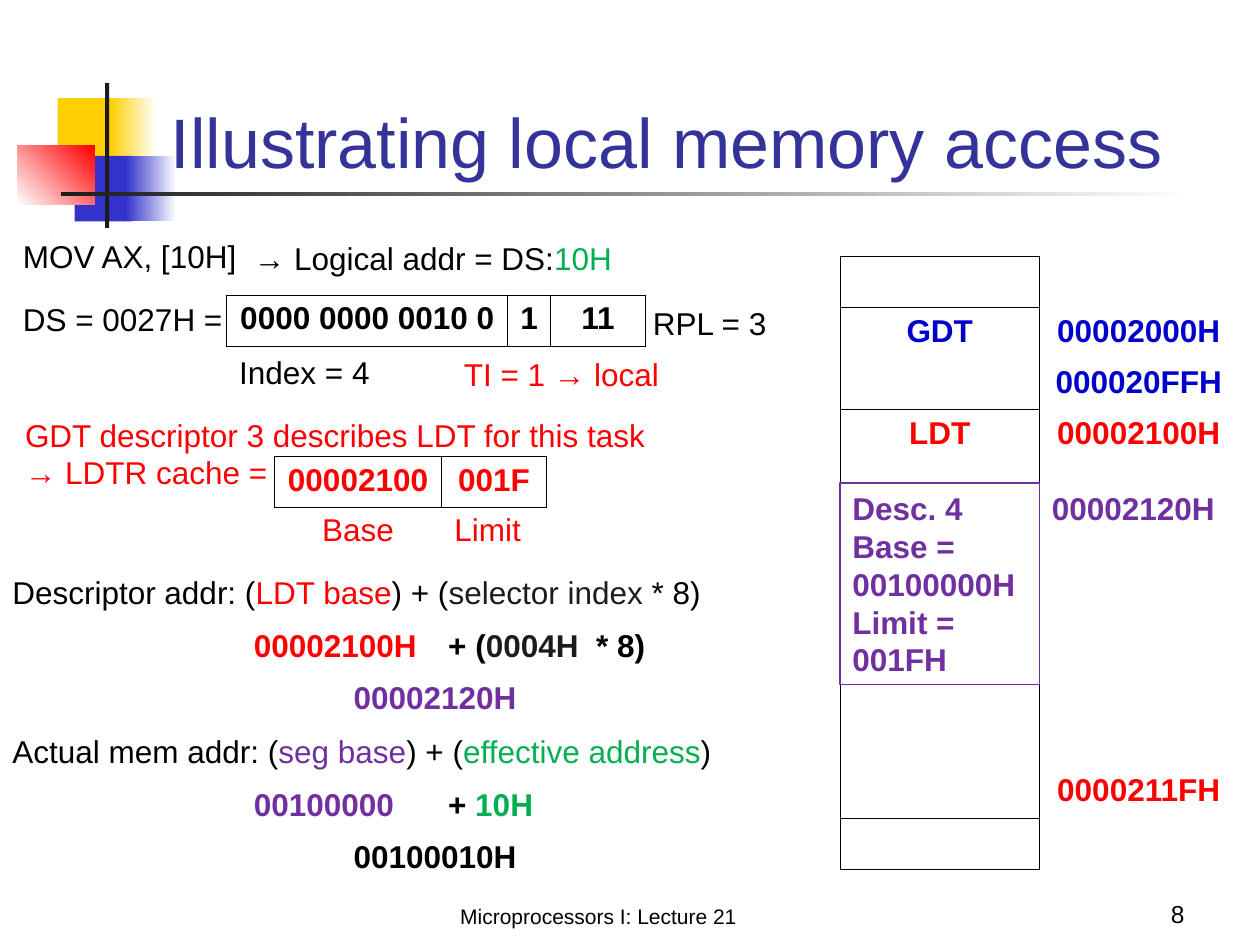
from dataclasses import dataclass
from typing import NamedTuple

import pptx
import pptx.dml.color
import pptx.enum.shapes
import pptx.enum.text
import pptx.oxml
import pptx.oxml.ns
import pptx.util

RGB = pptx.dml.color.RGBColor
ALIGN = pptx.enum.text.PP_ALIGN
ANCHOR = pptx.enum.text.MSO_ANCHOR
BLACK = RGB(0x00, 0x00, 0x00)
WHITE = RGB(0xFF, 0xFF, 0xFF)
CHARCOAL = RGB(0x1C, 0x1C, 0x1C)
YELLOW = RGB(0xFF, 0xCF, 0x01)
INDIGO = RGB(0x33, 0x33, 0xCC)
NAVY = RGB(0x33, 0x33, 0x99)
BLUE = RGB(0x00, 0x00, 0xCC)
RED = RGB(0xFF, 0x00, 0x00)
GREEN = RGB(0x00, 0xB0, 0x50)
PURPLE = RGB(0x70, 0x30, 0xA0)

FONT = "Arial"
UNIT = pptx.util.Inches(1) / 12
COLS, ROWS = 120, 90
LINE = 4.8
MEMORY_LEFT, MEMORY_WIDTH, MEMORY_ROWS = 80, 19, 12
MEMORY_ROW = 4.86


class Span(NamedTuple):
    text: str
    color: RGB = BLACK


class Block(NamedTuple):
    col: float
    row: float
    width: float
    height: float
    start: RGB
    end: RGB | None = None
    angle: float = 0


@dataclass
class Label:
    col: float
    row: float
    width: float
    lines: list[list[Span]]
    bold: bool = False
    size: float = 18
    height: float = LINE
    align: ALIGN = ALIGN.LEFT
    anchor: ANCHOR = ANCHOR.TOP


class Cell(NamedTuple):
    text: str = ""
    color: RGB = BLACK
    sides: str = "LRTB"


@dataclass
class Grid:
    col: float
    row: float
    widths: list[float]
    row_height: float
    cells: list[list[Cell]]


def units(*values: float) -> list[pptx.util.Emu]:
    return [pptx.util.Emu(round(v * UNIT)) for v in values]


def style_run(r, color: RGB, size: float, bold: bool) -> None:
    r.font.name = FONT
    r.font.size = pptx.util.Pt(size)
    r.font.bold = bold
    r.font.color.rgb = color


def draw_block(s, block: Block) -> None:
    sp = s.shapes.add_shape(pptx.enum.shapes.MSO_SHAPE.RECTANGLE, *units(*block[:4]))
    sp.shadow.inherit = False
    sp.line.fill.background()
    if block.end is None:
        sp.fill.solid()
        sp.fill.fore_color.rgb = block.start
        return
    sp.fill.gradient()
    sp.fill.gradient_angle = block.angle
    for stop, color in zip(sp.fill.gradient_stops, (block.start, block.end)):
        stop.color.rgb = color


def draw_label(s, label: Label):
    sp = s.shapes.add_textbox(*units(label.col, label.row, label.width, label.height))
    tf = sp.text_frame
    tf.word_wrap = True
    tf.vertical_anchor = label.anchor
    for i, line in enumerate(label.lines):
        p = tf.paragraphs[0] if i == 0 else tf.add_paragraph()
        p.alignment = label.align
        for span in line:
            r = p.add_run()
            r.text = span.text
            style_run(r, span.color, label.size, label.bold)
    return sp


def set_borders(cell, sides: str) -> None:
    tc_pr = cell._tc.get_or_add_tcPr()
    for side in "LRTB":
        paint = f'<a:solidFill><a:srgbClr val="{BLACK}"/></a:solidFill>' if side in sides else "<a:noFill/>"
        tc_pr.append(pptx.oxml.parse_xml(
            f'<a:ln{side} {pptx.oxml.ns.nsdecls("a")} w="{pptx.util.Pt(0.45)}">{paint}</a:ln{side}>'))


def draw_grid(s, grid: Grid) -> None:
    n = len(grid.cells)
    table = s.shapes.add_table(n, len(grid.widths), *units(
        grid.col, grid.row, sum(grid.widths), n * grid.row_height)).table
    table.first_row = table.horz_banding = False
    for column, width in zip(table.columns, units(*grid.widths)):
        column.width = width
    for row, cells in zip(table.rows, grid.cells):
        row.height = units(grid.row_height)[0]
        for cell, data in zip(row.cells, cells):
            set_borders(cell, data.sides)
            cell.fill.background()
            cell.text_frame.text = data.text
            p = cell.text_frame.paragraphs[0]
            p.alignment = ALIGN.CENTER
            p.font.size = pptx.util.Pt(18)
            for r in p.runs:
                style_run(r, data.color, 18, True)


def memory_cells() -> list[list[Cell]]:
    regions = {1: ("GDT", BLUE), 3: ("LDT", RED)}
    addresses = {1: ("00002000H", BLUE), 2: ("000020FFH", BLUE),
                 3: ("00002100H", RED), 10: ("0000211FH", RED)}
    tops, bottoms = (0, 1, 3, 11), (0, 2, 10, 11)
    return [[Cell(*regions.get(i, ("", BLACK)),
                  "LR" + "T" * (i in tops) + "B" * (i in bottoms)),
             Cell(*addresses.get(i, ("", BLACK)), "L")]
            for i in range(MEMORY_ROWS)]


BLOCKS = [
    Block(5.5, 9.35, 5.75, 6.25, YELLOW),
    Block(10.5, 9.35, 4.35, 6.25, YELLOW, WHITE),
    Block(7.1, 14.85, 5.5, 6.25, INDIGO),
    Block(12, 14.85, 4.8, 6.25, INDIGO, WHITE),
    Block(1.65, 13.9, 7.35, 5.6, WHITE, RED, 45),
    Block(10, 7.9, 0.4, 13.8, CHARCOAL),
    Block(5.8, 18.3, 108, 0.4, CHARCOAL, WHITE),
]

GRIDS = [
    Grid(21.6, 28.1, [26.75, 4.1, 9], 4.86,
         [[Cell("0000 0000 0010 0"), Cell("1"), Cell("11")]]),
    Grid(26.15, 43.5, [15.9, 10], 4.86, [[Cell("00002100", RED), Cell("001F", RED)]]),
    Grid(MEMORY_LEFT, 24.4, [MEMORY_WIDTH, 18.9], MEMORY_ROW, memory_cells()),
]

LABELS = [
    Label(15.1, 3, 102.25, [[Span("Illustrating local memory access", NAVY)]],
          size=40, height=15, anchor=ANCHOR.BOTTOM),
    Label(25, 83, 64, [[Span("Microprocessors I: Lecture 21")]],
          size=12, height=6, align=ALIGN.CENTER, anchor=ANCHOR.BOTTOM),
    Label(89, 83, 25, [[Span("8")]],
          size=14, height=6, align=ALIGN.RIGHT, anchor=ANCHOR.BOTTOM),
    Label(1, 22, 24, [[Span("MOV AX, [10H]")]]),
    Label(23, 22.2, 37, [[Span("→ Logical addr = DS:"), Span("10H", GREEN)]]),
    Label(1, 28, 22, [[Span("DS = 0027H =")]]),
    Label(61, 28.35, 16, [[Span("RPL = 3")]]),
    Label(43, 33.2, 27, [[Span("TI = 1 → local", RED)]]),
    Label(21.6, 33, 16, [[Span("Index = 4")]]),
    Label(29.5, 48, 11, [[Span("Base", RED)]]),
    Label(42.1, 48, 11, [[Span("Limit", RED)]]),
    Label(1.2, 39, 73.8, [[Span("GDT descriptor 3 describes LDT for this task", RED)],
                          [Span("→ LDTR cache =", RED)]], height=8.4),
    Label(0, 54, 72, [[Span("Descriptor addr: ("), Span("LDT base", RED), Span(") + ("),
                       Span("selector index ", CHARCOAL), Span("* 8)")]]),
    Label(23, 59, 18.5, [[Span("00002100H", RED)]], bold=True),
    Label(41.5, 59, 15, [[Span("+ ("), Span("0004H", CHARCOAL)]], bold=True),
    Label(55.6, 59, 9, [[Span("* 8)")]], bold=True),
    Label(32.5, 64, 18.5, [[Span("00002120H", PURPLE)]], bold=True),
    Label(99, 46, 18.5, [[Span("00002120H", PURPLE)]], bold=True),
    Label(0, 69.1, 72, [[Span("Actual mem addr: ("), Span("seg base", PURPLE), Span(") + ("),
                         Span("effective address", GREEN), Span(")")]]),
    Label(23, 74.15, 18.5, [[Span("00100000", PURPLE)]], bold=True),
    Label(41.5, 74.15, 24.5, [[Span("+ "), Span("10H", GREEN)]], bold=True),
    Label(32.5, 79.15, 18.5, [[Span("00100010H")]], bold=True),
]

DESCRIPTOR = Label(
    MEMORY_LEFT, 46, MEMORY_WIDTH,
    [[Span(text, PURPLE)] for text in ("Desc. 4", "Base = 00100000H", "Limit =", "001FH")],
    bold=True, height=19.2)


def main() -> None:
    prs = pptx.Presentation()
    prs.slide_width, prs.slide_height = units(COLS, ROWS)
    s = prs.slides.add_slide(prs.slide_layouts[6])
    for block in BLOCKS:
        draw_block(s, block)
    for grid in GRIDS:
        draw_grid(s, grid)
    for label in LABELS:
        draw_label(s, label)
    sp = draw_label(s, DESCRIPTOR)
    sp.line.color.rgb = PURPLE
    sp.line.width = pptx.util.Pt(0.75)
    prs.save("out.pptx")


if __name__ == "__main__":
    main()
